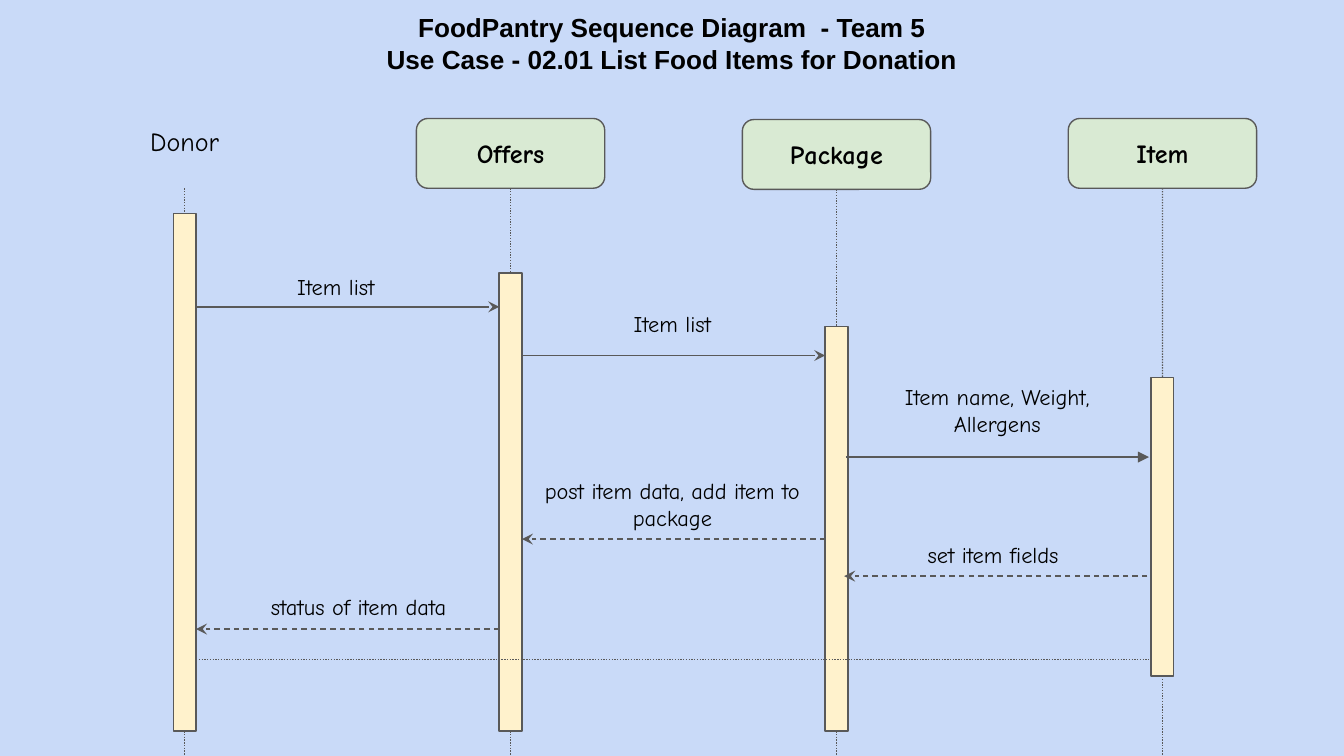
"""Build a UML sequence diagram slide for listing food items for donation."""
from lxml import etree
from pptx import Presentation
from pptx.dml.color import RGBColor
from pptx.enum.dml import MSO_LINE
from pptx.enum.shapes import MSO_CONNECTOR, MSO_SHAPE
from pptx.enum.text import MSO_ANCHOR, PP_ALIGN
from pptx.oxml.ns import qn
from pptx.util import Cm, Pt

STRAIGHT = MSO_CONNECTOR.STRAIGHT
RECTANGLE, ROUNDED = MSO_SHAPE.RECTANGLE, MSO_SHAPE.ROUNDED_RECTANGLE
DASH, DOT = MSO_LINE.DASH, MSO_LINE.ROUND_DOT
TOP, MIDDLE, CENTER = MSO_ANCHOR.TOP, MSO_ANCHOR.MIDDLE, PP_ALIGN.CENTER
TOP_SITE, BOTTOM_SITE = 0, 2

THEME = {
    "background": RGBColor.from_string("C9DAF8"),
    "header": RGBColor.from_string("D9EAD3"),
    "activation": RGBColor.from_string("FFF2CC"),
    "stroke": RGBColor.from_string("595959"),
    "ink": RGBColor.from_string("000000"),
    "stroke_width": Pt(0.75),
    "title": {"name": "Arial", "size": Pt(14), "bold": True},
    "participant": {"name": "Comic Neue", "size": Pt(14), "bold": True},
    "actor": {"name": "Comic Neue", "size": Pt(14), "bold": False},
    "message": {"name": "Comic Neue", "size": Pt(12), "bold": False},
}
FRAME = {"word_wrap": True, "margin_left": Cm(0.25), "margin_right": Cm(0.25),
         "margin_top": Cm(0.25), "margin_bottom": Cm(0.25)}

SLIDE_W, SLIDE_H = 25.4, 14.29
FIRST_X, LANE_STEP = 3.49, 6.16
HEADER_W, HEADER_H = 3.56, 1.32
BAR_W = 0.43
LABEL_W, LABEL_H = 5.64, 0.86
END_Y = 12.47

PARTICIPANTS = [
    ("Donor", 2.24, 4.04, 13.82),
    ("Offers", 2.24, 5.16, 13.82),
    ("Package", 2.26, 6.17, 13.82),
    ("Item", 2.24, 7.14, 12.78),
]
MESSAGES = [
    ("Item list", 0, 1, 5.8, 0, 6.35, 5.41, None, "stealth"),
    ("Item list", 1, 2, 6.72, 0, 12.71, 6.12, None, "stealth"),
    ("Item name, Weight, Allergens", 2, 3, 8.64, -0.04, 18.85, 7.75, None, "triangle"),
    ("post item data, add item to package", 2, 1, 10.19, 0, 12.71, 9.53, DASH, "stealth"),
    ("set item fields", 3, 2, 10.89, -0.07, 18.77, 10.49, DASH, "stealth"),
    ("status of item data", 1, 0, 11.89, 0, 6.78, 11.46, DASH, "stealth"),
]


def write_text(shape, lines, style, anchor):
    frame = shape.text_frame
    for attribute, value in FRAME.items():
        setattr(frame, attribute, value)
    frame.vertical_anchor = anchor
    frame.text = "\n".join(lines)
    for paragraph in frame.paragraphs:
        paragraph.alignment = CENTER
        for attribute, value in THEME[style].items():
            setattr(paragraph.font, attribute, value)
        paragraph.font.color.rgb = THEME["ink"]


def draw_line(x1, y1, x2, y2, dash=None, arrow=None):
    line = slide.shapes.add_connector(STRAIGHT, Cm(x1), Cm(y1), Cm(x2), Cm(y2))
    line.line.color.rgb = THEME["stroke"]
    line.line.width = THEME["stroke_width"]
    line.line.dash_style = dash
    if arrow:
        etree.SubElement(line.line._get_or_add_ln(), qn("a:tailEnd"), type=arrow)
    etree.SubElement(line._element.spPr, qn("a:effectLst"))
    return line


prs = Presentation()
prs.slide_width, prs.slide_height = Cm(SLIDE_W), Cm(SLIDE_H)
slide = prs.slides.add_slide(prs.slide_layouts[6])
slide.background.fill.solid()
slide.background.fill.fore_color.rgb = THEME["background"]

title = slide.shapes.add_textbox(Cm(0), Cm(-0.03), Cm(SLIDE_W), Cm(1.55))
write_text(title, ["FoodPantry Sequence Diagram  - Team 5",
                   "Use Case - 02.01 List Food Items for Donation"], "title", TOP)

lanes = [FIRST_X + LANE_STEP * i for i in range(len(PARTICIPANTS))]

for x, (participant, header_top, bar_top, bar_bottom) in zip(lanes, PARTICIPANTS):
    header_bottom = header_top + HEADER_H
    bar = slide.shapes.add_shape(RECTANGLE, Cm(x - BAR_W / 2), Cm(bar_top),
                                 Cm(BAR_W), Cm(bar_bottom - bar_top))
    boxes = [(bar, "activation")]
    lifeline = draw_line(x, header_bottom, x, bar_top, DOT)
    lifeline.end_connect(bar, TOP_SITE)
    if participant == "Donor":
        actor = slide.shapes.add_textbox(Cm(x - 1.58), Cm(2.13), Cm(3.16), Cm(0.84))
        write_text(actor, [participant], "actor", TOP)
    else:
        header = slide.shapes.add_shape(ROUNDED, Cm(x - HEADER_W / 2), Cm(header_top),
                                        Cm(HEADER_W), Cm(HEADER_H))
        write_text(header, [participant], "participant", MIDDLE)
        lifeline.begin_connect(header, BOTTOM_SITE)
        boxes.append((header, "header"))
    for box, fill in boxes:
        box.shadow.inherit = False
        box.fill.solid()
        box.fill.fore_color.rgb = THEME[fill]
        box.line.color.rgb = THEME["stroke"]
        box.line.width = THEME["stroke_width"]
    draw_line(x, bar_bottom, x, SLIDE_H, DOT).begin_connect(bar, BOTTOM_SITE)

for label, sender, receiver, y, shift, label_x, label_y, dash, arrow in MESSAGES:
    edge = BAR_W / 2 if receiver > sender else -BAR_W / 2
    draw_line(lanes[sender] + edge + shift, y, lanes[receiver] - edge + shift, y, dash, arrow)
    caption = slide.shapes.add_textbox(Cm(label_x - LABEL_W / 2), Cm(label_y - LABEL_H / 2),
                                       Cm(LABEL_W), Cm(LABEL_H))
    write_text(caption, [label], "message", MIDDLE)

draw_line(lanes[0] + BAR_W / 2, END_Y, lanes[-1] - BAR_W / 2, END_Y, DOT)

prs.save("out.pptx")
